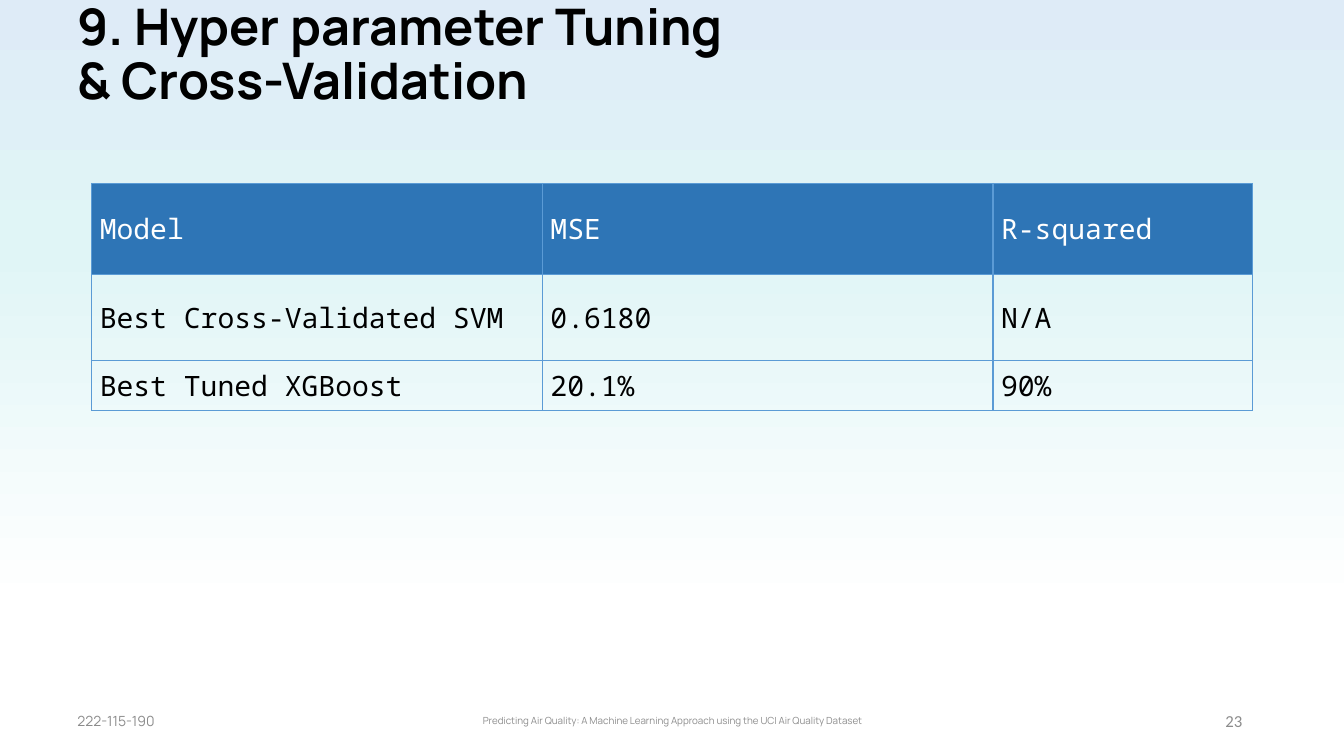
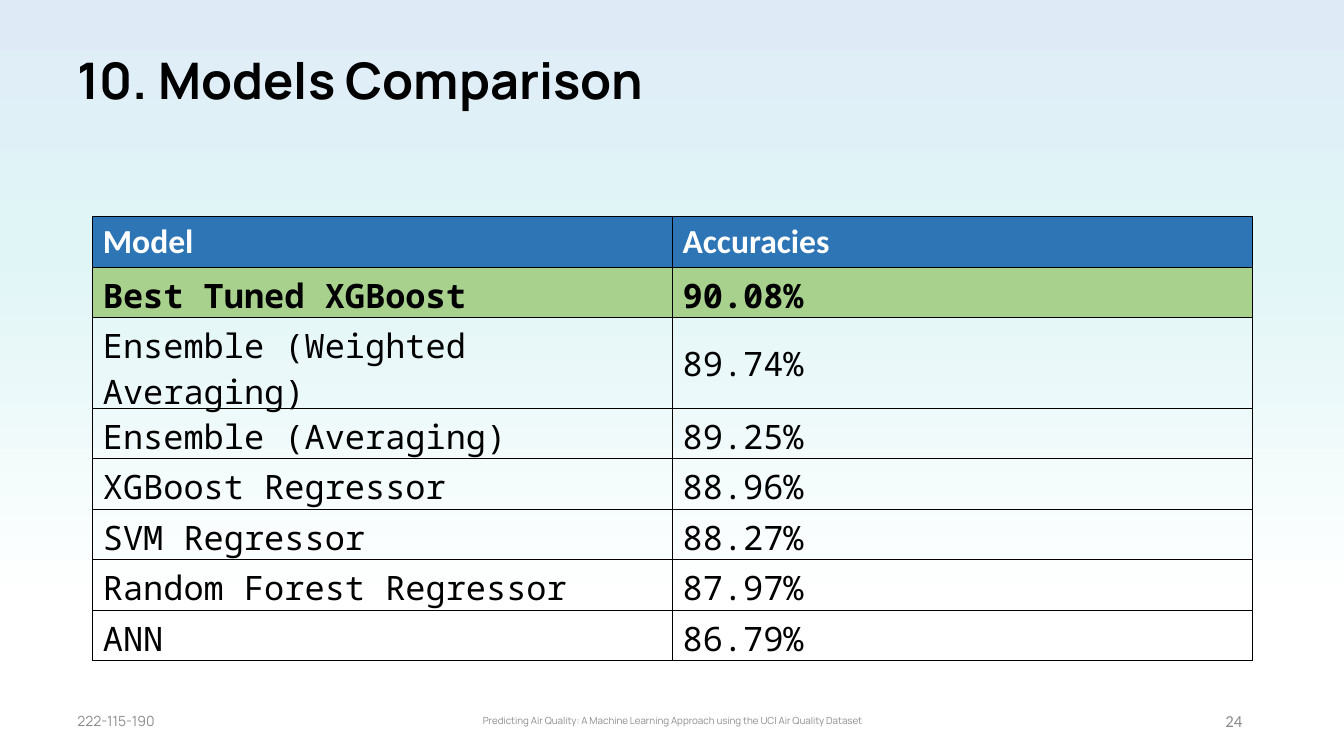
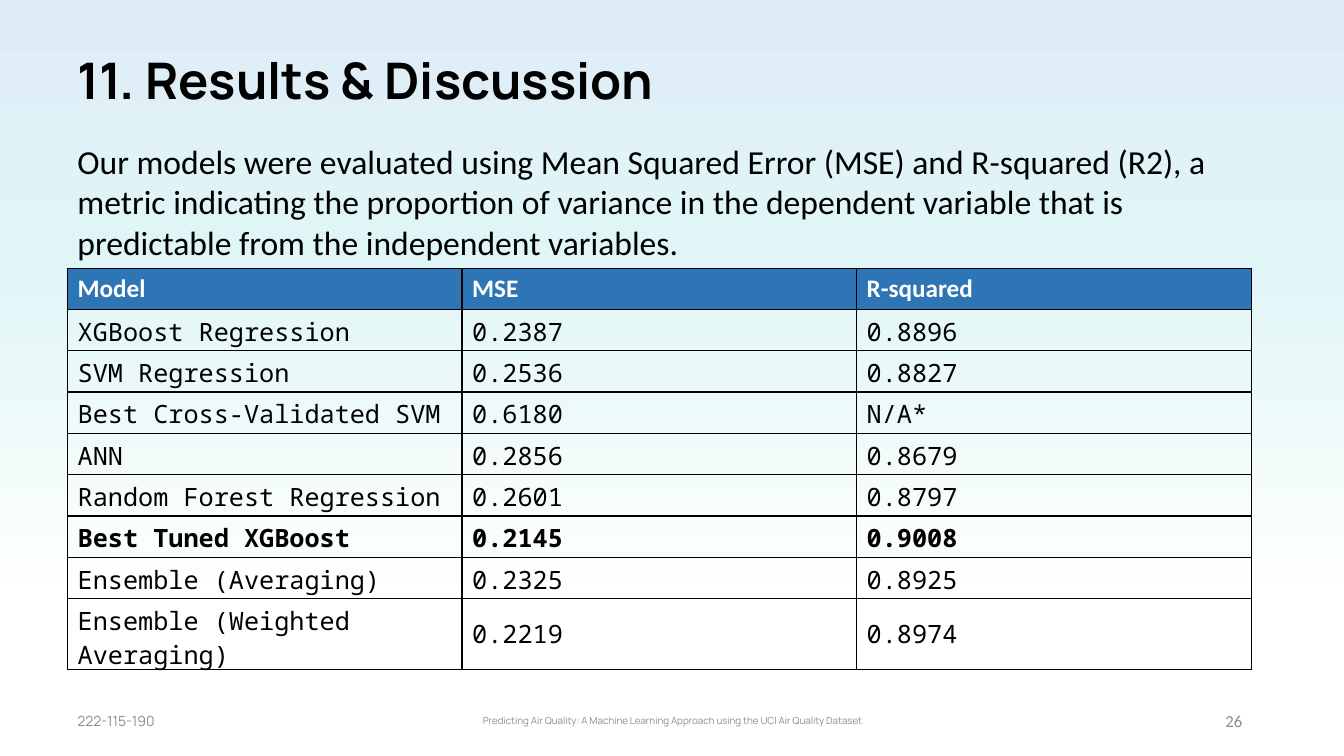
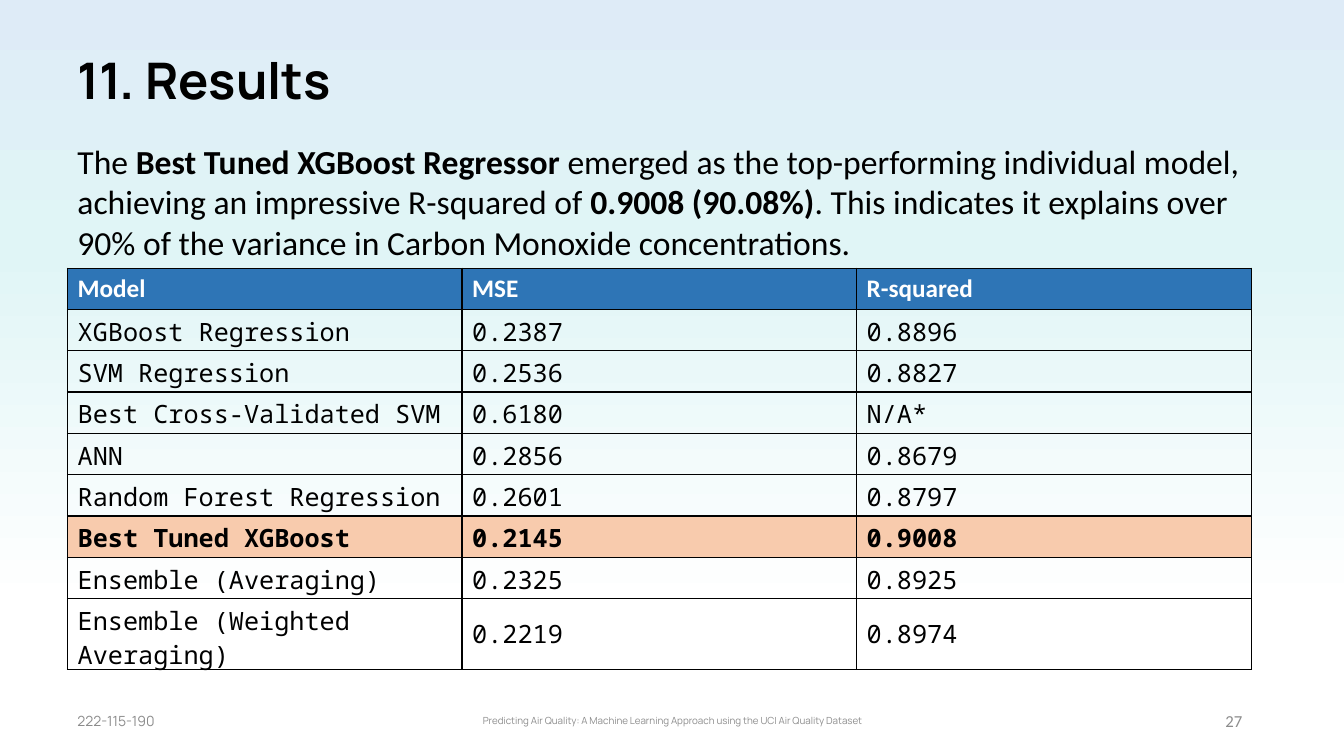
"""Build four slides on tuning and comparing air quality models."""
from dataclasses import dataclass

from lxml import etree
from pptx import Presentation
from pptx.dml.color import RGBColor
from pptx.enum import text as tx
from pptx.oxml import ns
from pptx.util import Inches, Pt


@dataclass(frozen=True)
class Theme:
    ink: str = "000000"
    paper: str = "FFFFFF"
    muted: str = "8C8C8C"
    header: str = "2E75B6"
    grid: str = "5B9BD5"
    green: str = "A9D18E"
    peach: str = "F8CBAD"
    backdrop: tuple = ((0, "FFFFFF"), (20, "FFFFFF"), (67, "E0F5F6"), (100, "DEEBF7"))
    display: str = "Manrope"
    body: str = "Calibri"
    mono: str = "Noto Sans Mono"
    title_size: int = 36
    body_size: int = 24
    table_size: int = 18
    tuning_size: int = 20
    number_size: int = 12
    id_size: int = 10
    footer_size: int = 7


THEME = Theme()
LEFT, MIDDLE = 0.67, tx.MSO_ANCHOR.MIDDLE
PROJECT = "Predicting Air Quality: A Machine Learning Approach using the UCI Air Quality Dataset"
STUDENT_ID = "222-115-190"

TUNING = [
    ("Model", "MSE", "R-squared"),
    ("Best Cross-Validated SVM", "0.6180", "N/A"),
    ("Best Tuned XGBoost", "20.1%", "90%"),
]
ACCURACIES = [
    ("Model", "Accuracies"),
    ("Best Tuned XGBoost", "90.08%"),
    ("Ensemble (Weighted Averaging)", "89.74%"),
    ("Ensemble (Averaging)", "89.25%"),
    ("XGBoost Regressor", "88.96%"),
    ("SVM Regressor", "88.27%"),
    ("Random Forest Regressor", "87.97%"),
    ("ANN", "86.79%"),
]
RESULTS = [
    ("Model", "MSE", "R-squared"),
    ("XGBoost Regression", "0.2387", "0.8896"),
    ("SVM Regression", "0.2536", "0.8827"),
    ("Best Cross-Validated SVM", "0.6180", "N/A*"),
    ("ANN", "0.2856", "0.8679"),
    ("Random Forest Regression", "0.2601", "0.8797"),
    ("Best Tuned XGBoost", "0.2145", "0.9008"),
    ("Ensemble (Averaging)", "0.2325", "0.8925"),
    ("Ensemble (Weighted Averaging)", "0.2219", "0.8974"),
]
RESULTS_GRID = dict(rows=RESULTS, left=LEFT, top=2.66, height=4, widths=[11.74 / 3] * 3,
                    heights=[0.41] * 9, size=THEME.table_size, best=6)

SLIDES = [
    dict(number=23, title="9. Hyper parameter Tuning\n& Cross-Validation", intro=[],
         grid=dict(rows=TUNING, left=0.91, top=1.82, height=2.25, widths=[4.47, 4.47, 2.57],
                   heights=[0.9, 0.86, 0.49], size=THEME.tuning_size, border=THEME.grid,
                   header_font=THEME.mono, header_bold=False, margin=0.08)),
    dict(number=24, title="10. Models Comparison", intro=[],
         grid=dict(rows=ACCURACIES, left=0.92, top=2.15, height=4, widths=[5.75] * 2,
                   heights=[0.5] * 8, size=THEME.body_size, best=1, best_fill=THEME.green)),
    dict(number=26, title="11. Results & Discussion",
         intro=[("Our models were evaluated using Mean Squared Error (MSE) and R-squared (R2), "
                 "a metric indicating the proportion of variance in the dependent variable that "
                 "is predictable from the independent variables.", False)],
         grid=RESULTS_GRID),
    dict(number=27, title="11. Results",
         intro=[("The ", False), ("Best Tuned XGBoost Regressor", True),
                (" emerged as the top-performing individual model, achieving an impressive "
                 "R-squared of ", False), ("0.9008 (90.08%)", True),
                (". This indicates it explains over 90% of the variance in Carbon Monoxide "
                 "concentrations.", False)],
         grid=dict(RESULTS_GRID, best_fill=THEME.peach)),
]


def write(frame, content, *, size, font=THEME.body, color=THEME.ink, bold=False,
          align=tx.PP_ALIGN.LEFT, spacing=None):
    """Write a string, or (string, bold) pairs, as one paragraph."""
    paragraph = frame.paragraphs[0]
    paragraph.alignment = align
    paragraph.line_spacing = spacing
    for words, strong in [(content, bold)] if isinstance(content, str) else content:
        for index, line in enumerate(words.split("\n")):
            if index:
                paragraph.add_line_break()
            run = paragraph.add_run()
            run.text = line
            run.font.name, run.font.size, run.font.bold = font, Pt(size), strong
            run.font.color.rgb = RGBColor.from_string(color)


def style_master(master):
    """Give every slide the gradient backdrop and the title size."""
    fill = master.background.fill
    fill.gradient()
    fill.gradient_angle = 90
    stops = master.element.find(".//" + ns.qn("a:gsLst"))
    for stop in list(stops):
        stops.remove(stop)
    for position, color in THEME.backdrop:
        stop = etree.SubElement(stops, ns.qn("a:gs"), pos=str(position * 1000))
        etree.SubElement(stop, ns.qn("a:srgbClr"), val=color)
    title_style = master.element.find(".//" + ns.qn("p:titleStyle"))
    title_style.find(".//" + ns.qn("a:defRPr")).set("sz", str(THEME.title_size * 100))


def add_text(slide, content, left, top, width, height, anchor=tx.MSO_ANCHOR.TOP, **style):
    """Add a wrapped text box."""
    box = slide.shapes.add_textbox(*map(Inches, (left, top, width, height)))
    box.text_frame.word_wrap = True
    box.text_frame.vertical_anchor = anchor
    write(box.text_frame, content, **style)


def add_title(slide, title):
    """Place and format the title placeholder."""
    holder = slide.shapes.title
    holder.left, holder.top, holder.width, holder.height = map(Inches, (LEFT, 0, 10.99, 1.15))
    frame = holder.text_frame
    frame.word_wrap, frame.auto_size = True, tx.MSO_AUTO_SIZE.NONE
    frame.vertical_anchor = tx.MSO_ANCHOR.BOTTOM
    write(frame, title, size=THEME.title_size, font=THEME.display, bold=True, spacing=0.9)


def add_footer(slide, number):
    """Add the project name, slide number and student number."""
    for content, left, width, size, font, align in (
        (PROJECT, 4.42, 4.5, THEME.footer_size, THEME.display, tx.PP_ALIGN.CENTER),
        (str(number), 9.42, 3, THEME.number_size, THEME.body, tx.PP_ALIGN.RIGHT),
        (STUDENT_ID, LEFT, 4.5, THEME.id_size, THEME.display, tx.PP_ALIGN.LEFT),
    ):
        add_text(slide, content, left, 6.95, width, 0.4, MIDDLE, size=size, font=font,
                 color=THEME.muted, align=align)


def set_borders(cell, color):
    """Draw a one-point line on all four sides of a cell."""
    properties = cell._tc.get_or_add_tcPr()
    for index, side in enumerate("LRTB"):
        line = etree.Element(ns.qn(f"a:ln{side}"), w=str(Pt(1)))
        paint = etree.SubElement(line, ns.qn("a:solidFill"))
        etree.SubElement(paint, ns.qn("a:srgbClr"), val=color)
        properties.insert(index, line)


def add_grid(slide, rows, left, top, height, widths, heights, size, border=THEME.ink,
             header_font=THEME.body, header_bold=True, margin=0.1, best=None, best_fill=None):
    """Add a table with a header row and an optional best row."""
    holder = slide.shapes.add_table(len(rows), len(widths),
                                    *map(Inches, (left, top, sum(widths), height)))
    grid = holder.table
    grid.first_row = grid.horz_banding = False
    for column, width in zip(grid.columns, widths):
        column.width = Inches(width)
    for row, row_height in zip(grid.rows, heights):
        row.height = Inches(row_height)
    holder.height = Inches(height)
    for r, values in enumerate(rows):
        if r == 0:
            fill = THEME.header
            style = dict(font=header_font, color=THEME.paper, bold=header_bold)
        else:
            fill = best_fill if r == best else None
            style = dict(font=THEME.mono, bold=r == best)
        for c, value in enumerate(values):
            cell = grid.cell(r, c)
            cell.vertical_anchor = MIDDLE
            cell.margin_left = cell.margin_right = Inches(margin)
            if fill:
                cell.fill.solid()
                cell.fill.fore_color.rgb = RGBColor.from_string(fill)
            else:
                cell.fill.background()
            set_borders(cell, border)
            write(cell.text_frame, value, size=size, **style)


def main():
    """Build and save the deck."""
    deck = Presentation()
    deck.slide_width, deck.slide_height = Inches(13.33), Inches(7.5)
    style_master(deck.slide_master)
    for content in SLIDES:
        slide = deck.slides.add_slide(deck.slide_layouts[5])
        add_title(slide, content["title"])
        add_footer(slide, content["number"])
        if content["intro"]:
            add_text(slide, content["intro"], LEFT, 1.35, 11.74, 1.31, size=THEME.body_size)
        add_grid(slide, **content["grid"])
    deck.save("out.pptx")


if __name__ == "__main__":
    main()
